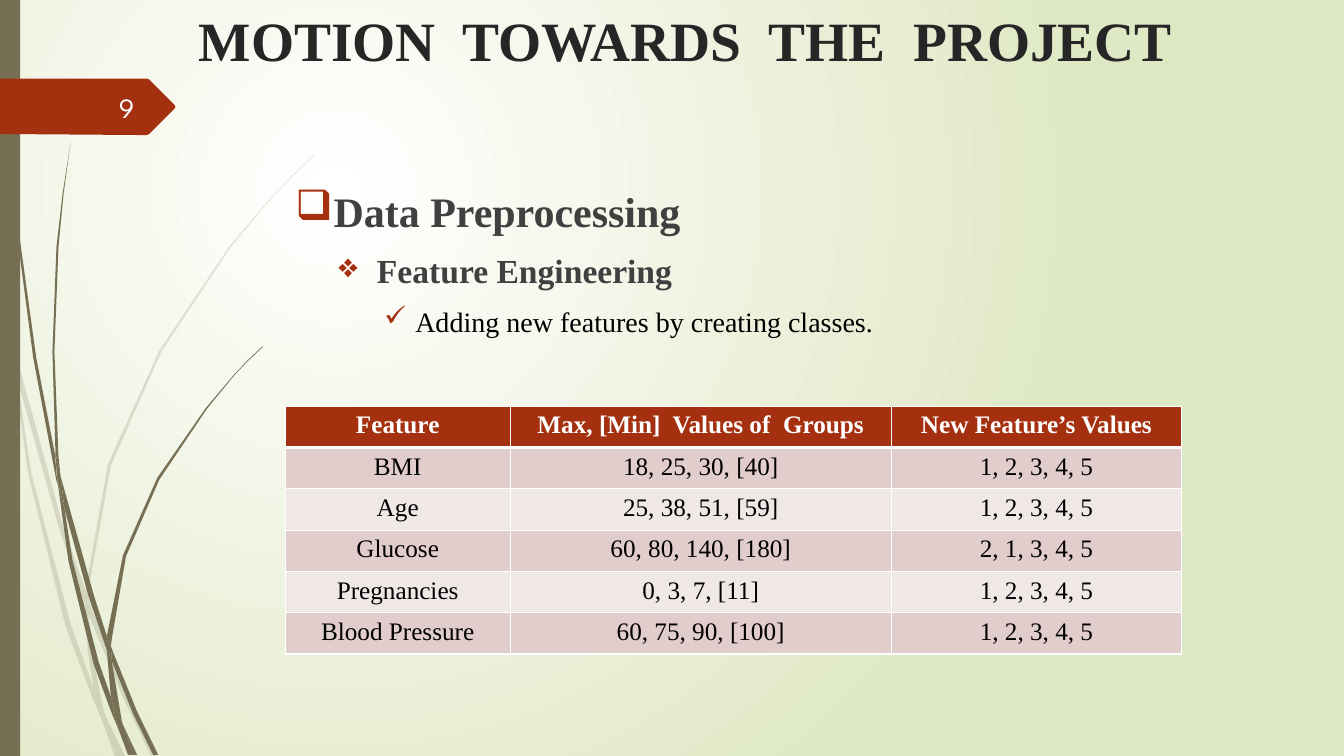
from dataclasses import dataclass

from lxml import etree
from pptx import Presentation
from pptx import util as u
from pptx.dml import color
from pptx.enum import shapes, text
from pptx.oxml import ns, parse_xml

PX = 9144  # EMU in one px, a hundredth of an inch


@dataclass(frozen=True)
class Theme:
    white: str = "FFFFFF"
    accent: str = "A53010"
    stem: str = "766F54"
    backdrop: str = "DFE8C4"
    title: str = "262626"
    heading: str = "404040"
    body: str = "000000"
    bands: tuple = ("F0E8E7", "E1CDCC")
    serif: str = "Times New Roman"
    sans: str = "League Spartan"
    title_size: float = 39.6
    level_sizes: tuple = (30, 24, 20)
    number_size: int = 20
    table_size: int = 18


# Outlines are px points, one string for each blade part.
PALE_STEMS = [
    "11,350 9,322 0,282 0,299 10,344",
    "58,522 84,599 85,586 62,520 14,345 17,376",
    "92,607 88,596 88,610 123,694 150,750 155,750 127,692",
    "119,750 124,750 105,711",
    "93,683 70,619 31,469 17,376 11,350 28,470 65,621 92,693 101,714 99,707",
    "84,599 87,646 93,683 96,692 105,711 103,706 91,646 88,610 88,608",
    "88,584 110,462 160,349 229,245 268,198 290,175 312,154 312,153 289,175 "
    "268,197 228,244 158,348 107,461 85,584 85,586 88,596",
    "101,714 114,750 119,750",
    "88,608 88,610 88,596 85,586 84,599",
    "96,692 93,683 99,707 101,714 119,750 105,711",
]
DARK_STEMS = [
    "7,110 17,233 33,355 56,477 57,481 55,457 55,453 36,355 19,232 8,109 5,48 "
    "4,0 3,0 4,48",
    "88,592 106,645 106,633 106,631 93,590 60,472 64,505",
    "113,649 110,641 111,656 132,708 152,749 157,749 136,706",
    "110,691 98,657 72,556 64,505 57,477 68,557 93,659 111,708 117,722 116,717",
    "60,472 58,453 54,349 58,245 63,193 70,141 62,193 56,245 52,349 55,449",
    "133,749 136,749 122,719",
    "57,477 64,505 60,472 55,449 55,453",
    "111,633 125,552 158,476 205,406 231,374 245,359 261,344 260,344 245,358 "
    "231,373 204,405 156,474 122,551 106,631 110,641",
    "117,722 127,749 131,749",
    "106,645 110,691 116,706 122,719 121,716 111,656 109,651",
    "106,645 109,651 111,656 110,641 106,631 106,633",
    "116,706 110,691 116,717 117,722 130,749 133,749 122,719",
]
NUMBER_TAG = "173,108 148,133 146,134 136,134 0,133 0,78 146,78 148,79 173,104 174,106"

# Text, bullet, left margin and hanging indent in px.
POINTS = [
    ("Data Preprocessing", "❑", 38, 38),
    ("Feature Engineering", "❖", 81, 38),
    ("Adding new features by creating classes.", "✓", 119, 31),
]
COLUMNS = [223, 378, 288]
ROW_HEIGHT = 41
ROWS = [
    ("Feature", "Max, [Min]  Values of  Groups", "New Feature’s Values"),
    ("BMI", "18, 25, 30, [40]", "1, 2, 3, 4, 5"),
    ("Age", "25, 38, 51, [59]", "1, 2, 3, 4, 5"),
    ("Glucose", "60, 80, 140, [180]", "2, 1, 3, 4, 5"),
    ("Pregnancies", "0, 3, 7, [11]", "1, 2, 3, 4, 5"),
    ("Blood Pressure", "60, 75, 90, [100]", "1, 2, 3, 4, 5"),
]


def px(*lengths):
    return [u.Emu(length * PX) for length in lengths]


def rgb(value):
    return color.RGBColor.from_string(value)


def set_all(target, **values):
    for name, value in values.items():
        setattr(target, name, value)


class SlideBuilder:
    def __init__(self, slide, theme):
        self.slide = slide
        self.theme = theme

    def background(self):
        """Radial gradient centred a quarter of the way in from the top left."""
        stops = "".join(
            f'<a:gs pos="{position}"><a:srgbClr val="{value}"/></a:gs>'
            for position, value in ((0, self.theme.white), (100000, self.theme.backdrop)))
        self.slide.element.cSld.insert(0, parse_xml(
            f'<p:bg {ns.nsdecls("p", "a")}><p:bgPr><a:gradFill rotWithShape="1">'
            f'<a:gsLst>{stops}</a:gsLst><a:path path="circle">'
            '<a:fillToRect l="50000" t="50000" r="100000" b="100000"/></a:path>'
            '</a:gradFill><a:effectLst/></p:bgPr></p:bg>'))

    def paint(self, shape, fill, opacity=100):
        shape.shadow.inherit = False
        shape.fill.solid()
        shape.fill.fore_color.rgb = rgb(fill)
        shape.line.fill.background()
        if opacity < 100:
            value = shape.element.spPr.find(
                f'{ns.qn("a:solidFill")}/{ns.qn("a:srgbClr")}')
            etree.SubElement(value, ns.qn("a:alpha"), val=str(opacity * 1000))

    def outline(self, points, fill, opacity=100, parent=None):
        start, *rest = [tuple(map(int, point.split(","))) for point in points.split()]
        builder = (parent or self.slide).shapes.build_freeform(*start, scale=PX)
        builder.add_line_segments(rest, close=True)
        self.paint(builder.convert_to_shape(), fill, opacity)

    def stems(self, outlines, opacity=100):
        group = self.slide.shapes.add_group_shape()
        for points in outlines:
            self.outline(points, self.theme.stem, opacity, group)

    def bar(self, *box):
        shape = self.slide.shapes.add_shape(shapes.MSO_SHAPE.RECTANGLE, *px(*box))
        self.paint(shape, self.theme.stem)

    def frame(self, box, anchor=text.MSO_ANCHOR.TOP):
        frame = self.slide.shapes.add_textbox(*px(*box)).text_frame
        set_all(frame, word_wrap=True, vertical_anchor=anchor)
        return frame

    def add_words(self, paragraph, words, size, ink, align, bold=False, font=None):
        paragraph.alignment = align
        run = paragraph.add_run()
        run.text = words
        set_all(run.font, size=u.Pt(size), bold=bold, name=font or self.theme.serif)
        run.font.color.rgb = rgb(ink)

    def bullets(self, box, points):
        frame = self.frame(box)
        inks = (self.theme.heading, self.theme.heading, self.theme.body)
        for level, (words, mark, margin, hang) in enumerate(points):
            paragraph = frame.add_paragraph() if level else frame.paragraphs[0]
            set_all(paragraph, level=level, space_before=u.Pt(10),
                    line_spacing=1.0 if level else 1.1)
            properties = paragraph._p.get_or_add_pPr()
            properties.set("marL", str(margin * PX))
            properties.set("indent", str(-hang * PX))
            tint = etree.SubElement(properties, ns.qn("a:buClr"))
            etree.SubElement(tint, ns.qn("a:srgbClr"), val=self.theme.accent)
            etree.SubElement(properties, ns.qn("a:buChar"), char=mark)
            self.add_words(paragraph, words, self.theme.level_sizes[level], inks[level],
                           text.PP_ALIGN.LEFT, bold=level < 2)

    def borders(self, cell, **points):
        properties = cell._tc.get_or_add_tcPr()
        for side in "LRTB":
            width = u.Pt(points.get(side, 1))
            properties.append(parse_xml(
                f'<a:ln{side} {ns.nsdecls("a")} w="{width}"><a:solidFill>'
                f'<a:srgbClr val="{self.theme.white}"/></a:solidFill></a:ln{side}>'))

    def table(self, left, top, columns, rows):
        box = px(left, top, sum(columns), ROW_HEIGHT * len(rows))
        table = self.slide.shapes.add_table(len(rows), len(columns), *box).table
        for column, width in zip(table.columns, px(*columns)):
            column.width = width
        for r, row in enumerate(rows):
            header = r == 0
            table.rows[r].height = px(ROW_HEIGHT)[0]
            for c, words in enumerate(row):
                cell = table.cell(r, c)
                self.borders(cell, B=3 if header else 1, T=3 if r == 1 else 1)
                cell.fill.solid()
                cell.fill.fore_color.rgb = rgb(
                    self.theme.accent if header else self.theme.bands[r % 2])
                self.add_words(cell.text_frame.paragraphs[0], words, self.theme.table_size,
                               self.theme.white if header else self.theme.body,
                               text.PP_ALIGN.CENTER, bold=header)


def main():
    presentation = Presentation()
    set_all(presentation, slide_width=u.Inches(13.33), slide_height=u.Inches(7.5))
    theme = Theme()
    page = SlideBuilder(
        presentation.slides.add_slide(presentation.slide_layouts[6]), theme)
    page.background()
    page.stems(PALE_STEMS, opacity=20)
    page.stems(DARK_STEMS)
    page.bar(0, 0, 20, 750)
    page.outline(NUMBER_TAG, theme.accent)
    page.bullets((283, 174, 975, 473), POINTS)
    page.table(283, 403, COLUMNS, ROWS)
    page.add_words(page.frame((175, 1, 1010, 90)).paragraphs[0],
                   "MOTION  TOWARDS  THE  PROJECT", theme.title_size, theme.title,
                   text.PP_ALIGN.CENTER, bold=True)
    page.add_words(page.frame((58, 86, 85, 40), text.MSO_ANCHOR.MIDDLE).paragraphs[0],
                   "9", theme.number_size, theme.white, text.PP_ALIGN.RIGHT, font=theme.sans)
    presentation.save("out.pptx")


if __name__ == "__main__":
    main()
